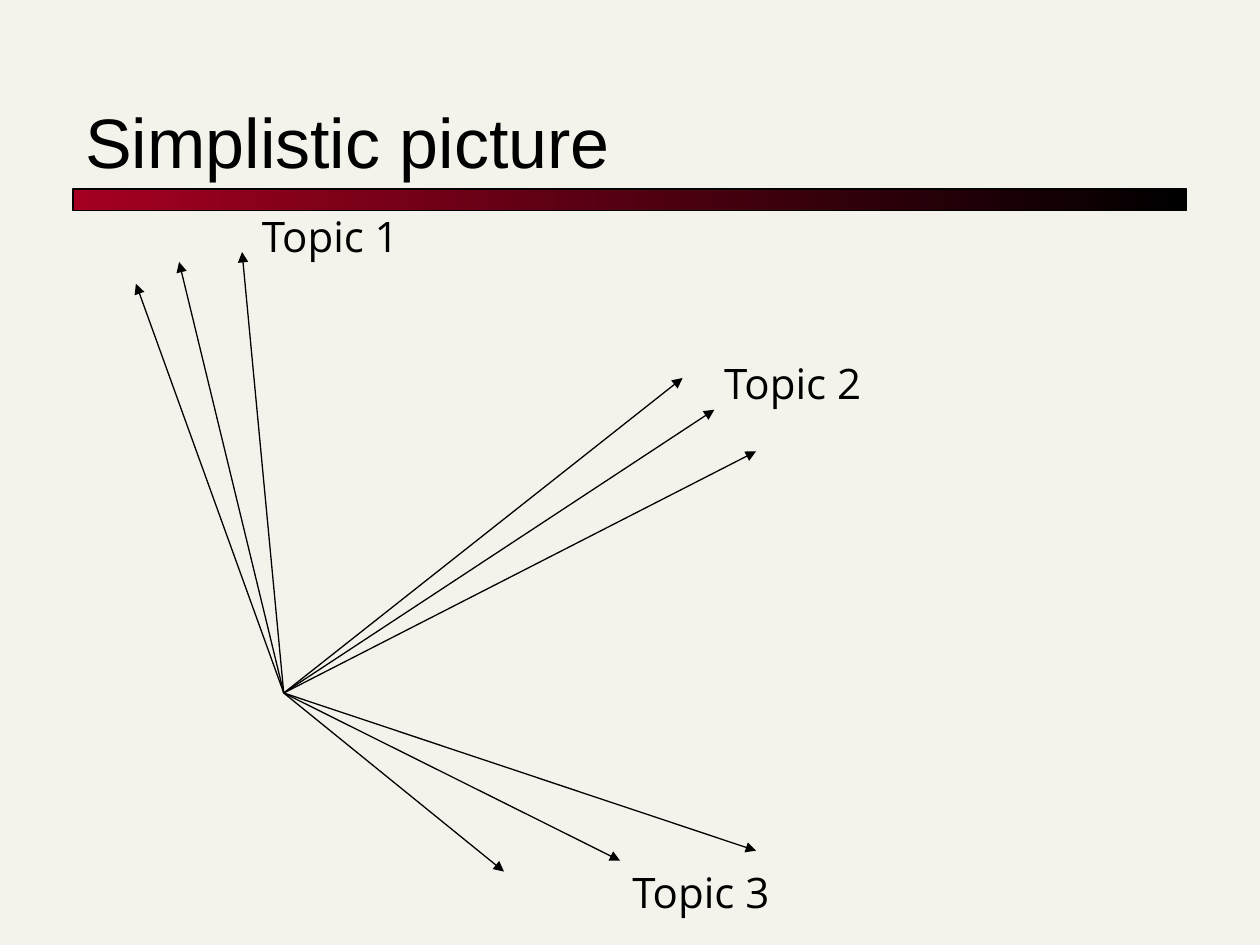
from pptx import Presentation
from pptx.dml.color import RGBColor
from pptx.enum.shapes import MSO_CONNECTOR, MSO_SHAPE
from pptx.enum.text import MSO_ANCHOR
from pptx.oxml.ns import qn
from pptx.util import Cm, Pt
from lxml.etree import SubElement

COLORS = {"paper": "F4F3EB", "ink": "000000", "red": "A50021"}
ink = RGBColor.from_string(COLORS["ink"])

deck = Presentation()
deck.slide_width, deck.slide_height = Cm(25.4), Cm(19.05)
slide = deck.slides.add_slide(deck.slide_layouts[6])
slide.background.fill.solid()
slide.background.fill.fore_color.rgb = RGBColor.from_string(COLORS["paper"])


def add_text(text, left, top, width, height, font, size, anchor):
    box = slide.shapes.add_textbox(Cm(left), Cm(top), Cm(width), Cm(height))
    frame = box.text_frame
    frame.word_wrap = True
    frame.vertical_anchor = anchor
    frame.text = text
    style = frame.paragraphs[0].font
    style.name, style.size = font, Pt(size)
    style.color.rgb = ink


bar = slide.shapes.add_shape(MSO_SHAPE.RECTANGLE, Cm(1.47), Cm(3.81), Cm(22.45), Cm(0.43))
bar.shadow.inherit = False
bar.fill.gradient()
bar.fill.gradient_angle = 0
for stop, name in zip(bar.fill.gradient_stops, ("red", "ink")):
    stop.color.rgb = RGBColor.from_string(COLORS[name])
bar.line.color.rgb = ink
bar.line.width = Pt(0.75)

add_text("Simplistic picture", 1.47, 1.07, 22.43, 2.74, "Arial", 40, MSO_ANCHOR.BOTTOM)

hub = Cm(5.72), Cm(13.97)
topics = {
    "Topic 1": ((5.03, 4.11), [(2.74, 5.72), (3.61, 5.28), (4.88, 5.08)]),
    "Topic 2": ((14.35, 7.09), [(13.76, 7.62), (14.4, 8.26), (15.24, 9.1)]),
    "Topic 3": ((12.5, 17.35), [(12.5, 17.35), (10.16, 17.57), (15.24, 17.15)]),
}
for topic, (place, tips) in topics.items():
    for x, y in tips:
        arrow = slide.shapes.add_connector(MSO_CONNECTOR.STRAIGHT, *hub, Cm(x), Cm(y))
        arrow.line.color.rgb = ink
        arrow.line.width = Pt(0.75)
        SubElement(arrow.line._get_or_add_ln(), qn("a:tailEnd"), type="triangle")
        SubElement(arrow._element.spPr, qn("a:effectLst"))
    add_text(topic, *place, 3.58, 1.27, "Open Sans", 24, MSO_ANCHOR.TOP)

deck.save("out.pptx")
